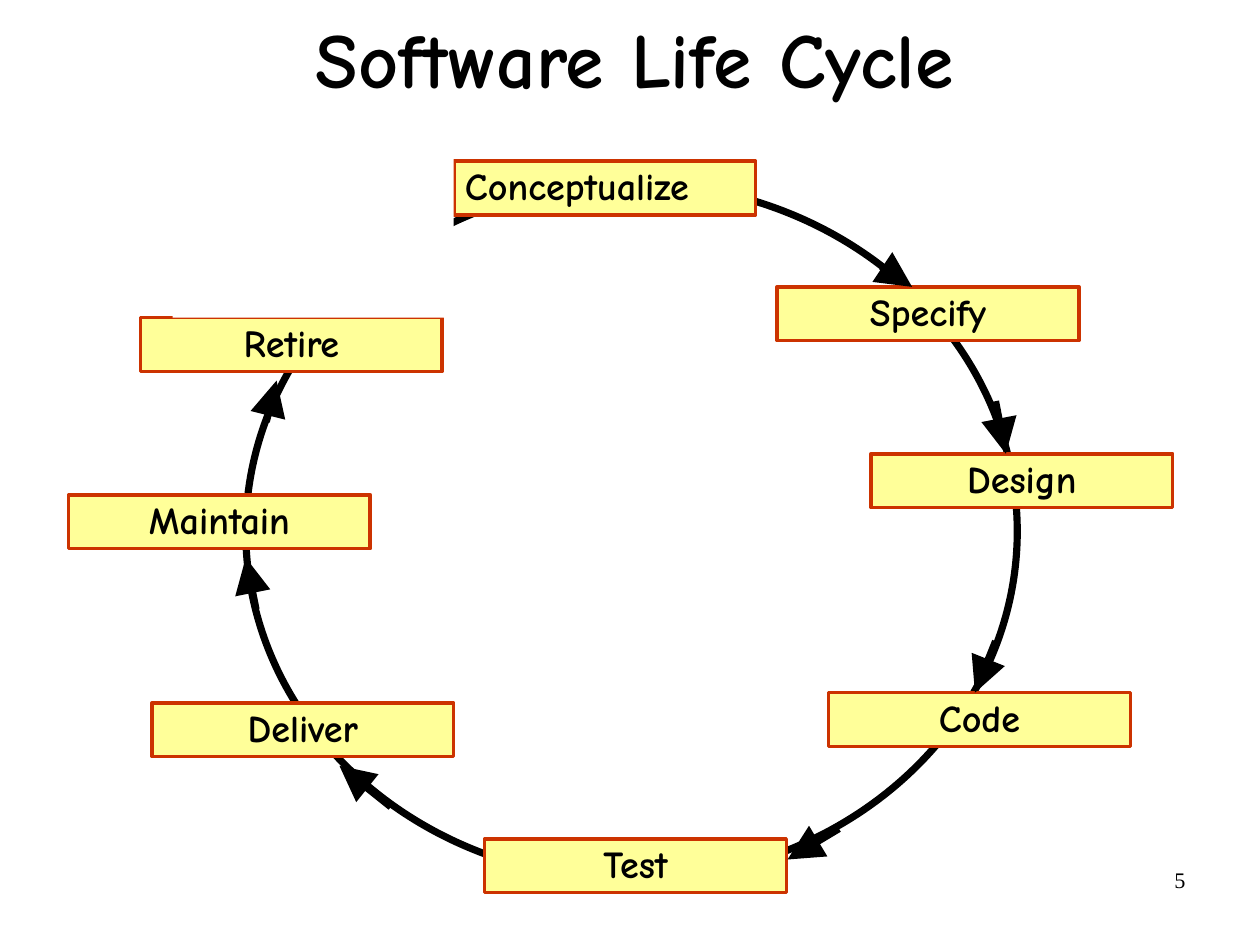
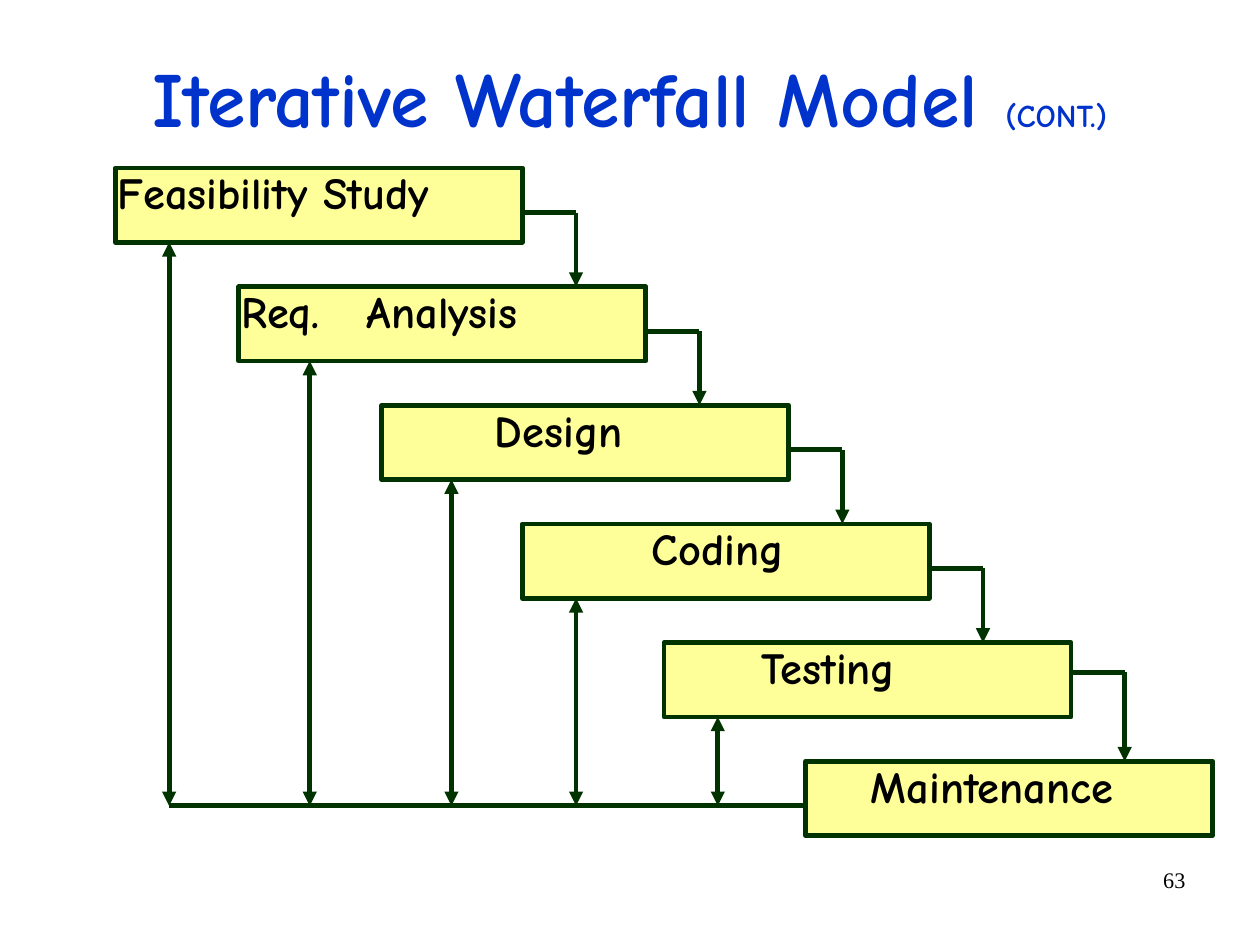
from lxml import etree
from pptx import Presentation
from pptx.dml.color import RGBColor
from pptx.enum import shapes, text
from pptx.oxml.ns import qn
from pptx.util import Cm, Inches, Pt

COLOURS = {"ink": "000000", "paper": "FFFFFF", "box": "FFFF99",
           "rust": "CC3300", "green": "003300", "blue": "0033CC"}
TITLE_FONT, NUMBER_FONT = "Comic Neue", "Times New Roman"
PAGE_WIDTH, PAGE_HEIGHT = Cm(28), Cm(21)
ALIGN, ANCHOR = text.PP_ALIGN, text.MSO_ANCHOR
KINDS = shapes.MSO_SHAPE

CYCLE = {
    "title": [("Software Life Cycle", 49)],
    "title_colour": "ink",
    "title_box": (0.85, 0, 9.4, 1.1),
    "number": "5",
}
STAGE_SIZE = (2.64, 0.47)
STAGES = [  # name, left, top
    ("Conceptualize", 3.97, 1.41),
    ("Specify", 6.8, 2.51),
    ("Design", 7.62, 3.97),
    ("Code", 7.25, 6.06),
    ("Test", 4.24, 7.34),
    ("Deliver", 1.33, 6.15),
    ("Maintain", 0.6, 4.33),
    ("Retire", 1.23, 2.78),
]
RING = (2.15, 1.6, 6.75, 6.1)
RING_GAP = (1.51, 1.05, 2.46, 1.73)
RING_ARROWS = [  # start, end
    ((7.71, 2.33), (7.98, 2.51)),
    ((8.71, 3.51), (8.8, 3.97)),
    ((8.71, 5.61), (8.53, 6.06)),
    ((7.34, 7.25), (6.89, 7.52)),
    ((3.42, 7.06), (2.97, 6.7)),
    ((2.24, 5.33), (2.15, 4.88)),
    ((2.33, 3.69), (2.42, 3.33)),
]

WATERFALL = {
    "title": [("Iterative Waterfall Model ", 49), ("(CONT.)", 20)],
    "title_colour": "blue",
    "title_box": (0.81, 0.08, 9.4, 1.62),
    "number": "63",
}
PHASE_SIZE = (3.56, 0.65)
PHASES = [  # name, left, text indent, exit height, feedback offset
    ("Feasibility Study", 1.01, 0, 0.39, 0.47),
    ("Req.\tAnalysis", 2.09, 0, 0.39, 0.62),
    ("Design", 3.34, 0.97, 0.39, 0.61),
    ("Coding", 4.57, 1.11, 0.39, 0.47),
    ("Testing", 5.81, 0.83, 0.26, 0.47),
    ("Maintenance", 7.05, 0.55, None, None),
]
FIRST_TOP, LAST_TOP = 1.47, 6.66
WORD_TAB = 1.1
EXIT_REACH = 0.47
RAIL_Y = 7.05


def colour(name):
    return RGBColor.from_string(COLOURS[name])


def inches(values):
    return [Inches(value) for value in values]


def write(shape, runs, ink="ink", font=TITLE_FONT, bold=True, align=ALIGN.CENTER,
          anchor=ANCHOR.MIDDLE, insets=(0.1, 0.05), spacing=0.93):
    """Fill a shape with one paragraph of (text, size) runs and return it."""
    frame = shape.text_frame
    across, down = inches(insets)
    settings = {"word_wrap": True, "auto_size": text.MSO_AUTO_SIZE.NONE,
                "vertical_anchor": anchor, "margin_left": across,
                "margin_right": across, "margin_top": down, "margin_bottom": down}
    for name, value in settings.items():
        setattr(frame, name, value)
    paragraph = frame.paragraphs[0]
    paragraph.alignment = align
    paragraph.line_spacing = spacing
    for words, size in runs:
        run = paragraph.add_run()
        run.text = words
        for name, value in {"name": font, "size": Pt(size), "bold": bold}.items():
            setattr(run.font, name, value)
        run.font.color.rgb = colour(ink)
    return paragraph


def add_shape(slide, kind, box, fill=None, line=None, width=0):
    shape = slide.shapes.add_shape(kind, *inches(box))
    shape.shadow.inherit = False
    for paint, name in ((shape.fill, fill), (shape.line.fill, line)):
        if name:
            paint.solid()
            paint.fore_color.rgb = colour(name)
        else:
            paint.background()
    if line:
        shape.line.width = Pt(width)
    return shape


def add_line(slide, start, end, ink, width, heads=(), head_size="med"):
    """Draw a straight line; heads may hold headEnd and tailEnd."""
    line = slide.shapes.add_connector(
        shapes.MSO_CONNECTOR.STRAIGHT, *inches(start + end))
    line.line.color.rgb = colour(ink)
    line.line.width = Pt(width)
    for head in heads:
        etree.SubElement(line.line._get_or_add_ln(), qn("a:" + head),
                         type="triangle", w=head_size, len=head_size)
    etree.SubElement(line._element.spPr, qn("a:effectLst"))


def add_slide(presentation, content):
    slide = presentation.slides.add_slide(presentation.slide_layouts[5])
    title = slide.shapes.title
    title.left, title.top, title.width, title.height = inches(content["title_box"])
    write(title, content["title"], content["title_colour"], insets=(0.02, 0.06))
    number = slide.shapes.add_textbox(*inches((7.9, 7.53, 2.57, 0.57)))
    write(number, [(content["number"], 14)], font=NUMBER_FONT, bold=False,
          align=ALIGN.RIGHT, anchor=ANCHOR.TOP, spacing=1.0)
    return slide


def draw_cycle(slide):
    add_shape(slide, KINDS.OVAL, RING, line="ink", width=4.5)
    for index, (name, left, top) in enumerate(STAGES):
        box = add_shape(slide, KINDS.RECTANGLE, (left, top) + STAGE_SIZE,
                        "box", "rust", 2.25)
        write(box, [(name, 24)], align=ALIGN.CENTER if index else ALIGN.LEFT)
    add_shape(slide, KINDS.RECTANGLE, RING_GAP, fill="paper")
    for start, end in RING_ARROWS:
        add_line(slide, start, end, "ink", 4.5, ["tailEnd"], "lg")


def draw_waterfall(slide):
    pen = ("green", 3)
    width, height = PHASE_SIZE
    step = (LAST_TOP - FIRST_TOP) / (len(PHASES) - 1)
    for index, (name, left, indent, exit_height, feedback) in enumerate(PHASES):
        top = FIRST_TOP + index * step
        box = add_shape(slide, KINDS.ROUNDED_RECTANGLE, (left, top) + PHASE_SIZE,
                        "box", *pen)
        box.adjustments[0] = 0
        paragraph = write(box, [(name, 28)], align=ALIGN.LEFT, anchor=ANCHOR.TOP,
                          insets=(0.02, 0.05), spacing=0.85)
        properties = paragraph._p.get_or_add_pPr()
        properties.set("marL", str(Inches(indent)))
        if "\t" in name:
            tabs = etree.SubElement(properties, qn("a:tabLst"))
            etree.SubElement(tabs, qn("a:tab"), pos=str(Inches(WORD_TAB)), algn="l")
        if feedback is None:
            continue
        right, exit_y = left + width, top + exit_height
        corner = (right + EXIT_REACH, exit_y)
        add_line(slide, (right, exit_y), corner, *pen)
        add_line(slide, corner, (corner[0], top + step), *pen, ["tailEnd"])
        add_line(slide, (left + feedback, RAIL_Y), (left + feedback, top + height),
                 *pen, ["headEnd", "tailEnd"])
    rail_end = PHASES[0][1] + PHASES[0][4]
    add_line(slide, (PHASES[-1][1], RAIL_Y), (rail_end, RAIL_Y), *pen)


def main():
    presentation = Presentation()
    presentation.slide_width, presentation.slide_height = PAGE_WIDTH, PAGE_HEIGHT
    for content, draw in ((CYCLE, draw_cycle), (WATERFALL, draw_waterfall)):
        draw(add_slide(presentation, content))
    presentation.save("out.pptx")


if __name__ == "__main__":
    main()
